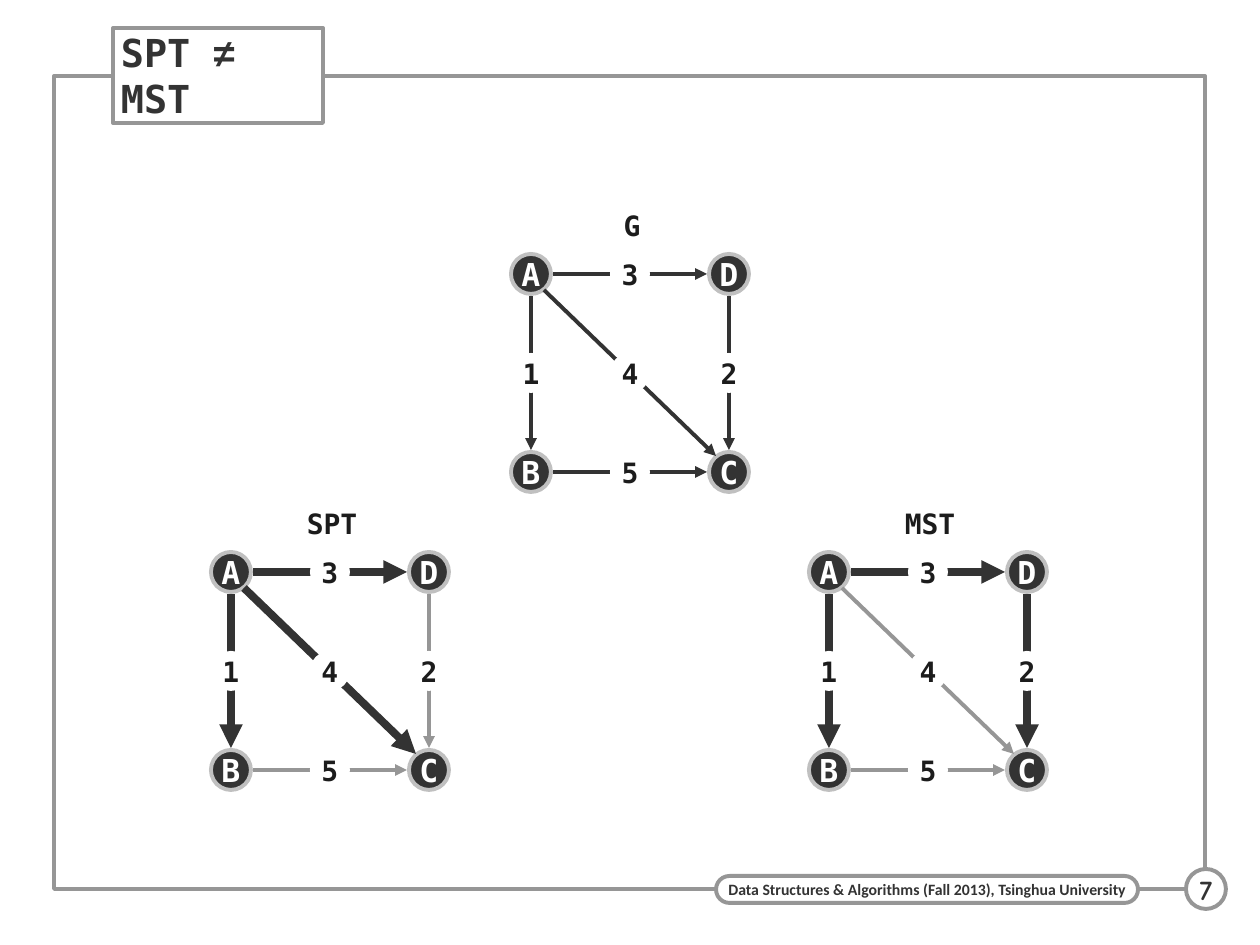
from dataclasses import dataclass

from lxml import etree
from pptx import Presentation
from pptx import util as u
from pptx.dml.color import RGBColor
from pptx.enum import shapes, text
from pptx.oxml.ns import qn

PX = 914400 / 126
COLORS = {
    "ink": "333333", "label": "1C1C1C", "gray": "969696",
    "ring": "C0C0C0", "white": "FFFFFF",
}
MONO = "DejaVu Sans Mono"
STEP = 198          # distance between neighbouring nodes
DISC = 40           # diameter of nodes and weight labels
NODES = {"A": (0, 0), "D": (1, 0), "B": (0, 1), "C": (1, 1)}
EDGES = {"3": "AD", "5": "BC", "1": "AB", "2": "DC", "4": "AC"}


@dataclass(frozen=True)
class Box:
    left: int
    top: int
    width: int
    height: int

    def emu(self) -> list[int]:
        return [px(n) for n in (self.left, self.top, self.width, self.height)]


@dataclass(frozen=True)
class Style:
    size: int
    color: str
    font: str = MONO


@dataclass(frozen=True)
class Graph:
    caption: str
    left: int       # centre of node A
    top: int
    bold: str       # weights of the heavy edges
    faded: str      # weights of the gray edges


WEIGHT = Style(16, "label")
NODE = Style(18, "white")
GRAPHS = [
    Graph("G", 531, 274, "", ""),
    Graph("SPT", 231, 572, "314", "52"),
    Graph("MST", 829, 572, "312", "54"),
]


def px(length: float) -> int:
    return round(length * PX)


def rgb(name: str) -> RGBColor:
    return RGBColor.from_string(COLORS[name])


def apply(target, values: dict) -> None:
    for name, value in values.items():
        setattr(target, name, value)


def centred(x: int, y: int, width: int, height: int) -> Box:
    return Box(x - width // 2, y - height // 2, width, height)


def write(shape, runs: list[tuple[str, Style]], margins: tuple[int, int] = (0, 0),
          wrap: bool = False, align=text.PP_ALIGN.CENTER) -> None:
    side, edge = map(px, margins)
    apply(shape.text_frame, {
        "word_wrap": wrap, "vertical_anchor": text.MSO_ANCHOR.MIDDLE,
        "margin_left": side, "margin_right": side,
        "margin_top": edge, "margin_bottom": edge,
    })
    paragraph = shape.text_frame.paragraphs[0]
    paragraph.alignment = align
    for words, style in runs:
        run = paragraph.add_run()
        run.text = words
        apply(run.font, {"name": style.font, "size": u.Pt(style.size), "bold": True})
        run.font.color.rgb = rgb(style.color)


def add_shape(slide, kind, box: Box, fill: str | None = "white", line: str | None = "gray"):
    shape = slide.shapes.add_shape(kind, *box.emu())
    shape.shadow.inherit = False
    if fill:
        shape.fill.solid()
        shape.fill.fore_color.rgb = rgb(fill)
    else:
        shape.fill.background()
    if line:
        shape.line.color.rgb = rgb(line)
        shape.line.width = u.Pt(2.25)
    else:
        shape.line.fill.background()
    return shape


def add_disc(slide, x: int, y: int, words: str, style: Style,
             fill: str = "white", line: str | None = None) -> None:
    disc = add_shape(slide, shapes.MSO_SHAPE.OVAL, centred(x, y, DISC, DISC), fill, line)
    write(disc, [(words, style)])


def add_arrow(slide, start: tuple[int, int], end: tuple[int, int],
              color: str, width: float) -> None:
    arrow = slide.shapes.add_connector(
        shapes.MSO_CONNECTOR.STRAIGHT, *[px(n) for n in (*start, *end)])
    arrow.line.color.rgb = rgb(color)
    arrow.line.width = u.Pt(width)
    etree.SubElement(arrow.line._get_or_add_ln(), qn("a:tailEnd"), type="triangle")
    etree.SubElement(arrow._element.spPr, qn("a:effectLst"))


def draw_graph(slide, graph: Graph) -> None:
    centres = {name: (graph.left + column * STEP, graph.top + row * STEP)
               for name, (column, row) in NODES.items()}
    for name, (x, y) in centres.items():
        add_disc(slide, x, y, name, NODE, "ink", "ring")

    # Edges stop just outside the node rings
    for weight, (source, target) in EDGES.items():
        (x1, y1), (x2, y2) = centres[source], centres[target]
        diagonal = x1 != x2 and y1 != y2
        gap_x, gap_y = (13, 16) if diagonal else (22 * (x1 != x2), 22 * (y1 != y2))
        add_arrow(slide, (x1 + gap_x, y1 + gap_y), (x2 - gap_x, y2 - gap_y),
                  "gray" if weight in graph.faded else "ink",
                  4.5 if weight in graph.bold else 2.25)
        add_disc(slide, (x1 + x2) // 2, (y1 + y2) // 2, weight, WEIGHT)

    box = centred(graph.left + 101, graph.top - 49, 18 * len(graph.caption), 38)
    write(slide.shapes.add_textbox(*box.emu()), [(graph.caption, WEIGHT)])


def main() -> None:
    presentation = Presentation()
    apply(presentation, {"slide_width": px(1260), "slide_height": px(945)})
    slide = presentation.slides.add_slide(presentation.slide_layouts[6])

    # Frame, footer and page number
    add_shape(slide, shapes.MSO_SHAPE.RECTANGLE, Box(54, 76, 1151, 813), fill=None)
    footer = add_shape(slide, shapes.MSO_SHAPE.ROUNDED_RECTANGLE, Box(716, 876, 422, 27))
    footer.adjustments[0] = 0.5
    write(footer, [("Data Structures & Algorithms (Fall 2013), Tsinghua University",
                    Style(9, "ink", "Calibri"))], (8, 0))
    page = add_shape(slide, shapes.MSO_SHAPE.OVAL, Box(1186, 869, 40, 40))
    write(page, [("7", Style(16, "ink", "Comic Neue"))], (5, 5))

    # Title
    title = add_shape(slide, shapes.MSO_SHAPE.RECTANGLE, Box(113, 28, 210, 95))
    heading = Style(22, "ink")
    write(title, [("SPT ", heading), ("≠", Style(22, "ink", "Arial")), (" MST", heading)],
          (8, 1), wrap=True, align=text.PP_ALIGN.LEFT)

    # The graph and its two trees
    for graph in GRAPHS:
        draw_graph(slide, graph)

    presentation.save("out.pptx")


if __name__ == "__main__":
    main()
